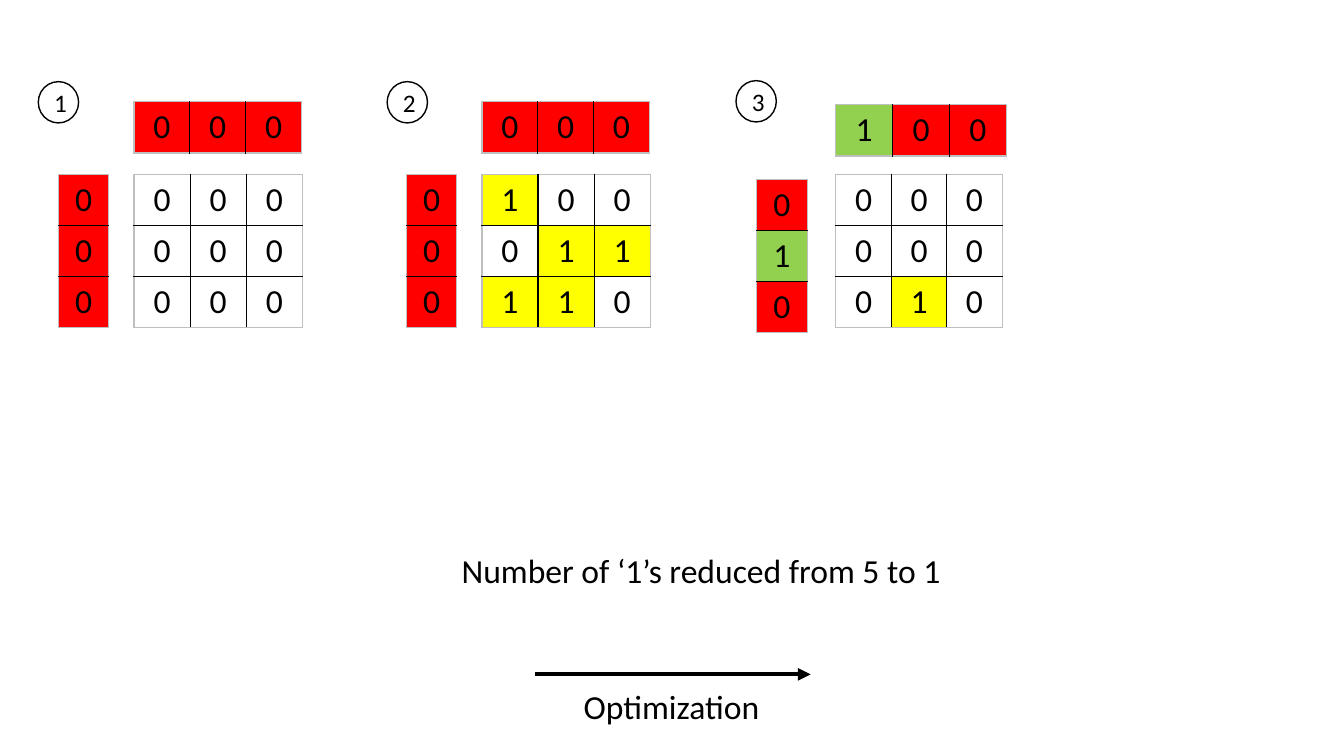
from lxml import etree
from pptx import Presentation
from pptx.dml.color import RGBColor
from pptx.enum.shapes import MSO_CONNECTOR, MSO_SHAPE
from pptx.enum.text import MSO_ANCHOR, MSO_AUTO_SIZE, PP_ALIGN
from pptx.oxml import parse_xml
from pptx.oxml.ns import nsdecls, qn
from pptx.util import Inches, Pt

CENTER, MIDDLE = PP_ALIGN.CENTER, MSO_ANCHOR.MIDDLE
GROW = MSO_AUTO_SIZE.SHAPE_TO_FIT_TEXT
OVAL, STRAIGHT = MSO_SHAPE.OVAL, MSO_CONNECTOR.STRAIGHT

BLACK = RGBColor(0, 0, 0)
WHITE = RGBColor(255, 255, 255)
GRAY = RGBColor(0xBF, 0xBF, 0xBF)
RED = RGBColor(255, 0, 0)
GREEN = RGBColor(0x92, 0xD0, 0x50)
YELLOW = RGBColor(255, 255, 0)

HEADER_FILLS = {"0": RED, "1": GREEN}
MATRIX_FILLS = {"0": None, "1": YELLOW}
ROW = 5  # height of a table row, in grid units


class Page:
    """The current slide, measured in grid units of a tenth of an inch."""
    font = "Calibri"
    body_size = 24
    badge_size = 18

    def __init__(self, deck):
        self.slide = deck.slides.add_slide(deck.slide_layouts[6])

    @staticmethod
    def grid(*units):
        return [Inches(unit / 10) for unit in units]

    def set_text(self, frame, text, size, align=None):
        para = frame.paragraphs[0]
        para.text = text
        para.alignment = align
        para.font.name = self.font
        para.font.size = Pt(size)
        para.font.color.rgb = BLACK

    def border(self, cell, side, color):
        cell._tc.get_or_add_tcPr().append(parse_xml(
            f'<a:ln{side} w="12700" {nsdecls("a")}><a:solidFill>'
            f'<a:srgbClr val="{color}"/></a:solidFill></a:ln{side}>'))

    def bits(self, left, top, width, rows, fills):
        """A table of digits: black inner lines, gray outline."""
        last_row, last_column = len(rows) - 1, len(rows[0]) - 1
        frame = self.slide.shapes.add_table(
            len(rows), len(rows[0]), *self.grid(left, top, width, ROW * len(rows)))
        table = frame.table
        table.first_row = table.horz_banding = False
        for r, digits in enumerate(rows):
            for c, digit in enumerate(digits):
                cell = table.cell(r, c)
                outer = {"L": c == 0, "R": c == last_column,
                         "T": r == 0, "B": r == last_row}
                for side, is_outer in outer.items():
                    self.border(cell, side, GRAY if is_outer else BLACK)
                if fills[digit] is None:
                    cell.fill.background()
                else:
                    cell.fill.solid()
                    cell.fill.fore_color.rgb = fills[digit]
                self.set_text(cell.text_frame, digit, self.body_size, CENTER)

    def badge(self, left, top, text):
        oval = self.slide.shapes.add_shape(OVAL, *self.grid(left, top, 4, 4.1))
        oval.shadow.inherit = False
        oval.fill.solid()
        oval.fill.fore_color.rgb = WHITE
        oval.line.color.rgb = BLACK
        oval.line.width = Pt(1)
        oval.text_frame.vertical_anchor = MIDDLE
        self.set_text(oval.text_frame, text, self.badge_size, CENTER)

    def label(self, left, top, width, text):
        box = self.slide.shapes.add_textbox(*self.grid(left, top, width, 5))
        box.text_frame.word_wrap = False
        box.text_frame.auto_size = GROW
        self.set_text(box.text_frame, text, self.body_size)

    def arrow(self, left, right, height):
        line = self.slide.shapes.add_connector(
            STRAIGHT, *self.grid(left, height, right, height))
        line.line.color.rgb = BLACK
        line.line.width = Pt(3)
        etree.SubElement(line.line._get_or_add_ln(), qn("a:tailEnd"), type="triangle")
        etree.SubElement(line._element.spPr, qn("a:effectLst"))


# Each step: badge, column header, row header and matrix;
# a table gives its left, top, width and digits
STEPS = [
    ((3.8, 8.1), (13.3, 10.1, 16.6, ["000"]), (5.8, 17.3, 5, "000"),
     (13.3, 17.3, 16.7, ["000", "000", "000"])),
    ((38.4, 8.1), (47.8, 10.1, 16.6, ["000"]), (40.3, 17.3, 5, "000"),
     (47.8, 17.3, 16.7, ["100", "011", "110"])),
    ((73, 8), (82.9, 10.4, 16.9, ["100"]), (75, 17.8, 5.1, "010"),
     (82.9, 17.3, 16.5, ["000", "000", "010"])),
]


def main():
    deck = Presentation()
    deck.slide_width, deck.slide_height = Inches(13.33), Inches(7.5)
    page = Page(deck)

    # Three numbered steps
    for number, (badge, column_header, row_header, matrix) in enumerate(STEPS, 1):
        page.bits(*matrix, MATRIX_FILLS)
        page.bits(*column_header, HEADER_FILLS)
        page.bits(*row_header, HEADER_FILLS)
        page.badge(*badge, str(number))

    # Result and direction
    page.label(44.8, 54.1, 49.9, "Number of ‘1’s reduced from 5 to 1")
    page.arrow(53.1, 80.4, 66.9)
    page.label(56.9, 67.6, 19.6, "Optimization")

    deck.save("out.pptx")


if __name__ == "__main__":
    main()
